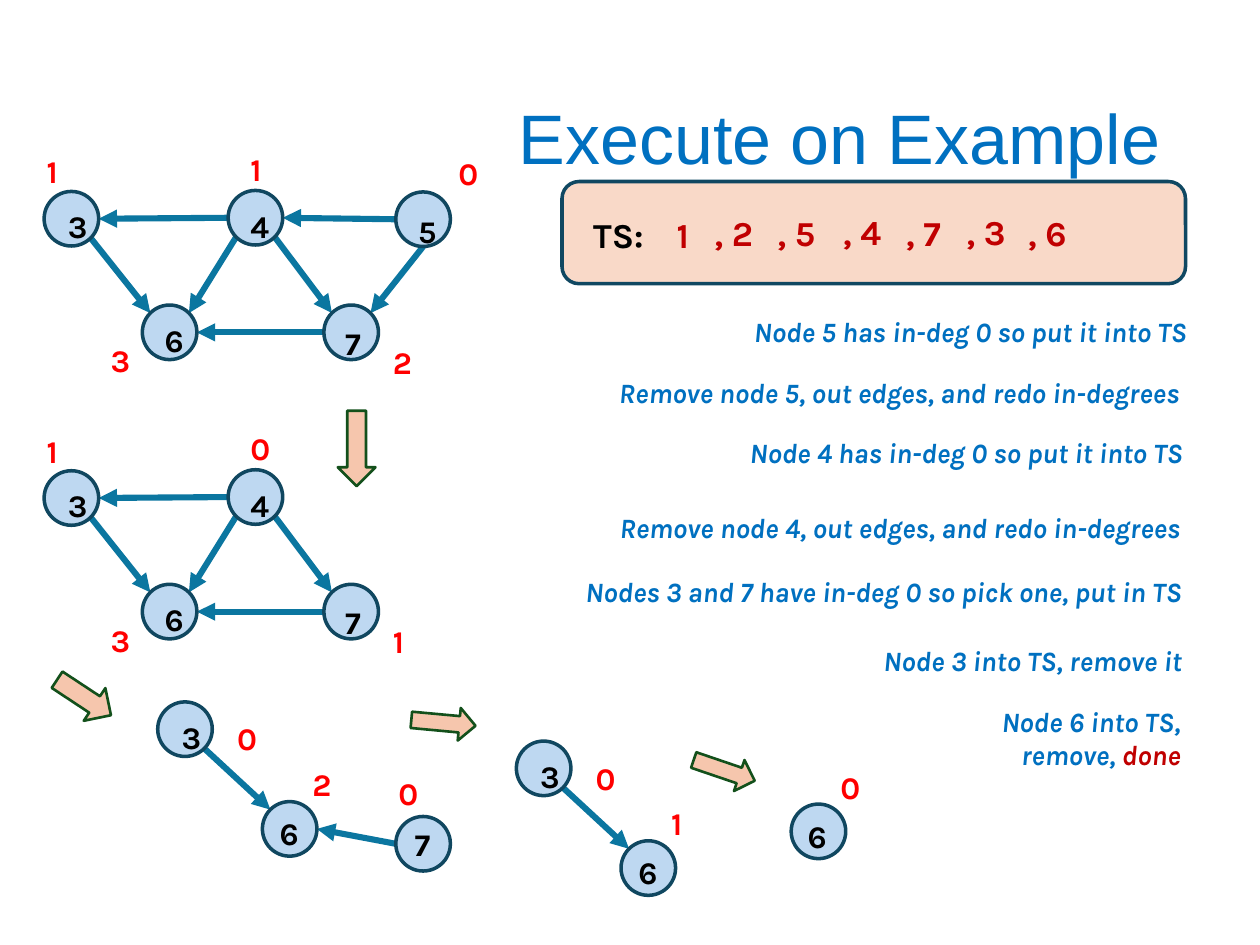
from math import cos, radians, sin

from lxml import etree
from pptx import Presentation
from pptx.dml.color import RGBColor
from pptx.enum.shapes import MSO_CONNECTOR, MSO_SHAPE
from pptx.enum.text import MSO_ANCHOR, PP_ALIGN
from pptx.oxml.ns import qn
from pptx.util import Cm, Pt

OVAL, ROUND, DOWN = MSO_SHAPE.OVAL, MSO_SHAPE.ROUNDED_RECTANGLE, MSO_SHAPE.DOWN_ARROW
STRAIGHT = MSO_CONNECTOR.STRAIGHT
MIDDLE = MSO_ANCHOR.MIDDLE
LEFT, RIGHT = PP_ALIGN.LEFT, PP_ALIGN.RIGHT

COLORS = {
    "title": "0070C0", "text": "000000", "degree": "FF0000", "order": "C00000",
    "node": "71AAE0", "node_line": "104760", "edge": "0B76A0",
    "step": "F6C6AD", "step_line": "13501B",
    "panel": "F2AA84", "panel_line": "104862",
}
FONT = "Karla"
NODE = 1.1

# node: (position, digit offset within the node, in-degree position)
FULL = {
    "3": ((0, 0.96), (0.23, 0.18), (-0.2, 0.05)),
    "4": ((3.71, 0.94), (0.2, 0.2), (3.91, 0)),
    "5": ((7.09, 0.97), (0.2, 0.28), (8.1, 0.08)),
    "6": ((1.98, 3.25), (0.2, 0.2), (1.09, 3.86)),
    "7": ((5.64, 3.25), (0.18, 0.25), (6.78, 3.89)),
}
CHAIN = {
    "3": ((0, 0), (0.23, 0.2), (1.35, 0.23)),
    "6": ((2.11, 2.01), (0.1, 0.13), (2.87, 1.14)),
    "7": ((4.8, 2.31), (0.13, 0.05), (4.6, 1.32)),
}
LAST = {"6": ((0, 0), (0.08, 0.13), (0.74, -0.86))}

# from node, angle it leaves at, to node, angle it arrives at
EDGES = [
    ("4", 135, "6", -45), ("4", 180, "3", 0), ("5", 180, "4", 0),
    ("3", 45, "6", -135), ("4", 45, "7", -135), ("5", 90, "7", -45),
    ("7", 180, "6", 0),
]

GRAPHS = [
    (0.89, 2.9, FULL, {"3": 1, "4": 1, "5": 0, "6": 3, "7": 2}),
    (0.89, 8.53, FULL, {"3": 1, "4": 0, "6": 3, "7": 1}),
    (3.18, 14.15, CHAIN, {"3": 0, "6": 2, "7": 0}),
    (10.41, 14.94, CHAIN, {"3": 0, "6": 1}),
    (15.95, 16.21, LAST, {"6": 0}),
]
STEPS = [
    (6.81, 8.28, 0.76, 1.52, 0), (1.3, 13.41, 0.79, 1.3, 303.4),
    (8.61, 13.92, 0.66, 1.3, 275.3), (14.27, 14.88, 0.66, 1.3, 288.8),
]
ORDER = [
    ("TS:", 0.38, 0.51), ("1", 2.06, 0.51), (", 2", 2.82, 0.48),
    (", 5", 4.09, 0.48), (", 4", 5.41, 0.46), (", 7", 6.68, 0.48),
    (", 3", 7.9, 0.46), (", 6", 9.14, 0.48),
]
NOTES = [
    ("Node 5 has in-deg 0 so put it into TS", 24.18, 6.22, 12.47),
    ("Remove node 5, out edges, and redo in-degrees", 24.03, 7.44, 13.89),
    ("Node 4 has in-deg 0 so put it into TS", 24.1, 8.66, 12.47),
    ("Remove node 4, out edges, and redo in-degrees", 24.05, 10.16, 14.45),
    ("Nodes 3 and 7 have in-deg 0 so pick one, put in TS", 24.08, 11.46, 15.09),
    ("Node 3 into TS, remove it", 24.08, 12.85, 8.66),
    ("Node 6 into TS, remove, ", 24.05, 14.07, 5.44),
]


def rgb(name):
    return RGBColor.from_string(COLORS[name])


def style(r, size, color, italic=False):
    r.font.name, r.font.size = FONT, Pt(size)
    r.font.bold, r.font.italic = True, italic
    r.font.color.rgb = rgb(color)


def add_text(shapes, text, x, y, w, h, size, color, align=LEFT, italic=False):
    tb = shapes.add_textbox(Cm(x), Cm(y), Cm(w), Cm(h))
    tb.text_frame.word_wrap = True
    p = tb.text_frame.paragraphs[0]
    p.text, p.alignment = text, align
    style(p.runs[0], size, color, italic)
    return p


def add_box(shapes, kind, x, y, w, h, fill, line, weight, alpha=None):
    sp = shapes.add_shape(kind, Cm(x), Cm(y), Cm(w), Cm(h))
    sp.shadow.inherit = False
    sp.fill.solid()
    sp.fill.fore_color.rgb = rgb(fill)
    sp.line.color.rgb = rgb(line)
    sp.line.width = Pt(weight)
    if alpha:
        clr = sp._element.spPr.find(qn("a:solidFill"))[0]
        etree.SubElement(clr, qn("a:alpha"), val=str(alpha * 1000))
    return sp


def add_edge(shapes, start, end):
    c = shapes.add_connector(STRAIGHT, *(Cm(v) for v in (*start, *end)))
    c.line.color.rgb = rgb("edge")
    c.line.width = Pt(3.5)
    etree.SubElement(c.line._get_or_add_ln(), qn("a:tailEnd"), type="triangle")
    etree.SubElement(c._element.spPr, qn("a:effectLst"))


def add_graph(s, left, top, layout, degrees):
    shapes = s.shapes.add_group_shape().shapes

    def rim(node, angle):
        x, y = layout[node][0]
        r, a = NODE / 2, radians(angle)
        return left + x + r + r * cos(a), top + y + r + r * sin(a)

    for a, leave, b, arrive in EDGES:
        if a in degrees and b in degrees:
            add_edge(shapes, rim(a, leave), rim(b, arrive))
    for node, degree in degrees.items():
        (x, y), (dx, dy), (gx, gy) = layout[node]
        x, y = left + x, top + y
        add_box(shapes, OVAL, x, y, NODE, NODE, "node", "node_line", 2, 45)
        add_text(shapes, node, x + dx, y + dy, 0.97, 0.76, 18, "text")
        add_text(shapes, str(degree), left + gx, top + gy, 0.97, 1, 18, "degree")


def add_title(s, x, y, w, h):
    sp = s.shapes.title
    sp.left, sp.top, sp.width, sp.height = Cm(x), Cm(y), Cm(w), Cm(h)
    tf = sp.text_frame
    tf.text, tf.vertical_anchor = "Execute on Example", MIDDLE
    p = tf.paragraphs[0]
    p.alignment, p.line_spacing = RIGHT, 0.9
    font = p.runs[0].font
    font.name, font.size = "Arial", Pt(40)
    font.color.rgb = rgb("title")


def add_order_panel(s, x, y, w, h):
    add_box(s.shapes, ROUND, x, y, w, h, "panel", "panel_line", 2, 44)
    for text, dx, dy in ORDER:
        color = "text" if text == "TS:" else "order"
        add_text(s.shapes, text, x + dx, y + dy, 1.85, 1.12, 20, color)


def add_notes(s):
    for text, right, y, w in NOTES:
        p = add_text(s.shapes, text, right - w, y, w, 0.94, 16, "title", RIGHT, True)
    r = p.add_run()
    r.text = "done"
    style(r, 16, "order", True)


def add_steps(s):
    for x, y, w, h, angle in STEPS:
        sp = add_box(s.shapes, DOWN, x, y, w, h, "step", "step_line", 1.5)
        sp.rotation = angle


def main():
    prs = Presentation()
    prs.slide_width, prs.slide_height = Cm(25.4), Cm(19.05)
    s = prs.slides.add_slide(prs.slide_layouts[5])
    add_title(s, 1.75, 1.02, 21.89, 3.68)
    add_order_panel(s, 11.33, 3.66, 12.57, 2.06)
    for graph in GRAPHS:
        add_graph(s, *graph)
    add_steps(s)
    add_notes(s)
    prs.save("out.pptx")


if __name__ == "__main__":
    main()
